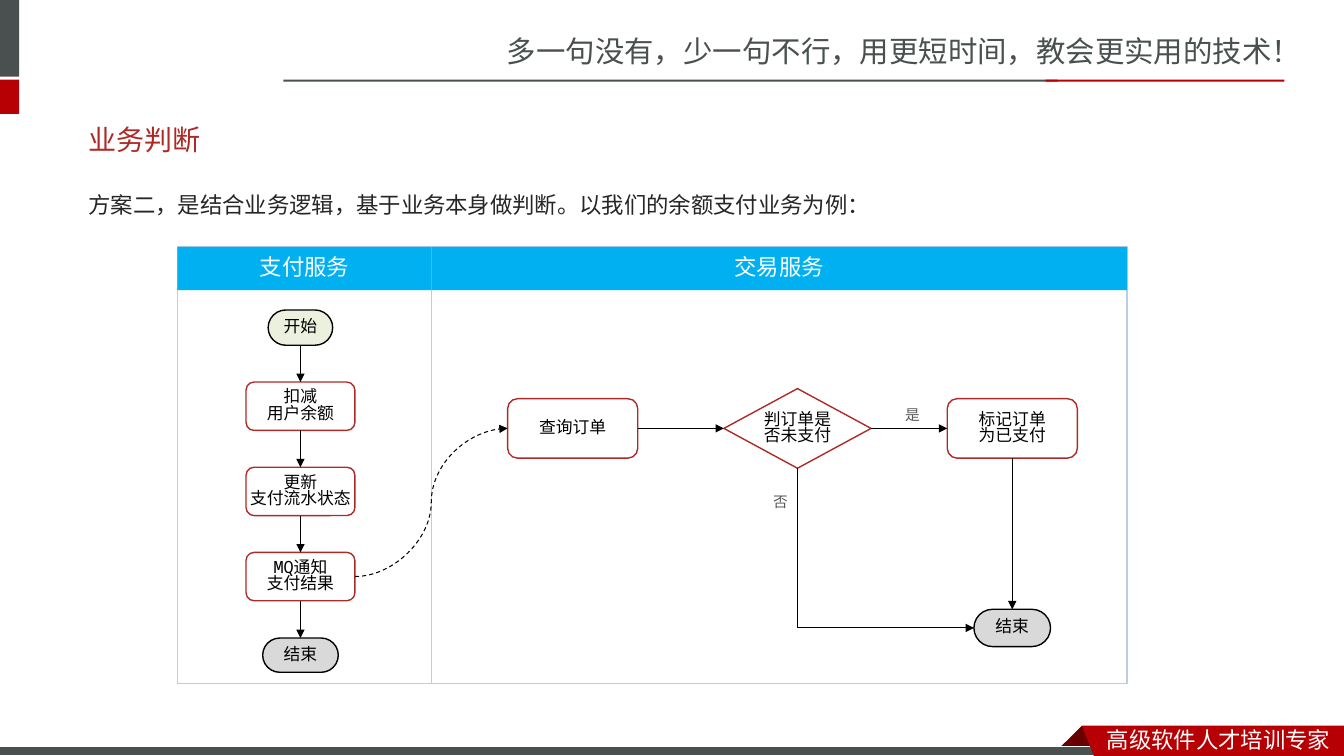
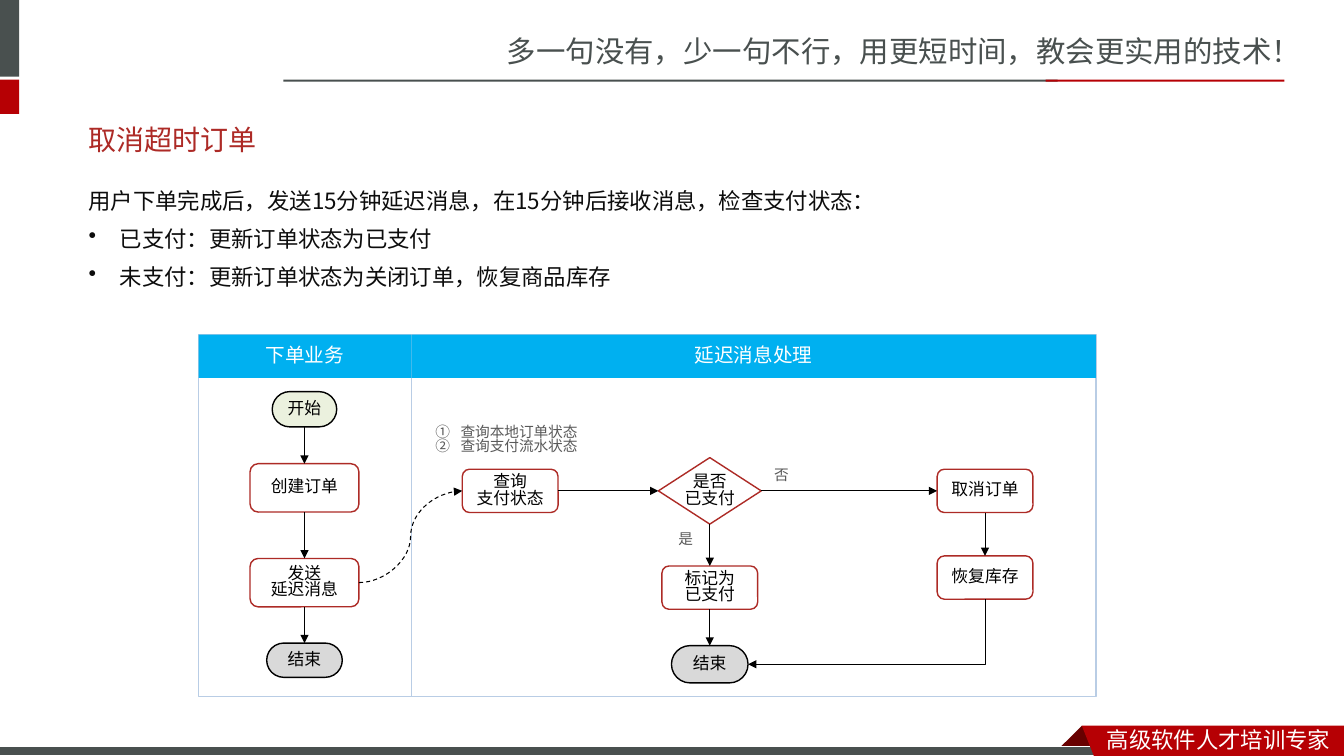
from lxml import etree
from pptx import Presentation
from pptx.dml.color import RGBColor
from pptx.enum.dml import MSO_LINE
from pptx.enum.shapes import MSO_CONNECTOR, MSO_SHAPE
from pptx.enum.text import MSO_ANCHOR, MSO_AUTO_SIZE, PP_ALIGN
from pptx.oxml.ns import qn
from pptx.util import Inches, Pt

RECTANGLE = MSO_SHAPE.RECTANGLE
ROUNDED = MSO_SHAPE.ROUNDED_RECTANGLE
DIAMOND = MSO_SHAPE.DIAMOND
STRAIGHT, ELBOW, CURVE = MSO_CONNECTOR.STRAIGHT, MSO_CONNECTOR.ELBOW, MSO_CONNECTOR.CURVE
DASH = MSO_LINE.DASH
MIDDLE = MSO_ANCHOR.MIDDLE
LEFT, CENTER = PP_ALIGN.LEFT, PP_ALIGN.CENTER
TOP_SITE, LEFT_SITE, BOTTOM_SITE, RIGHT_SITE = range(4)

SLIDE_WIDTH, SLIDE_HEIGHT = 13.33, 7.5
MARGIN, CONTENT_WIDTH = 0.78, 11.7
HEADER_HEIGHT = 0.43
TIGHT = 0.83

WHITE = RGBColor(0xFF, 0xFF, 0xFF)
BLACK = RGBColor(0x00, 0x00, 0x00)
SLATE = RGBColor(0x49, 0x50, 0x4F)
RED = RGBColor(0xB6, 0x00, 0x04)
DARK_RED = RGBColor(0x68, 0x00, 0x00)
TITLE_RED = RGBColor(0xAD, 0x2A, 0x26)
STEP_RED = RGBColor(0xAD, 0x2B, 0x26)
LANE_BLUE = RGBColor(0xB9, 0xCD, 0xE5)
HEADER_BLUE = RGBColor(0x00, 0xB0, 0xF0)
START_GREEN = RGBColor(0xEB, 0xF1, 0xDE)
END_GRAY = RGBColor(0xD9, 0xD9, 0xD9)
LABEL_GRAY = RGBColor(0x59, 0x59, 0x59)
INTRO_DARK = RGBColor(0x26, 0x26, 0x26)
INTRO_BLACK = RGBColor(0x0D, 0x0D, 0x0D)

TITLE_FONT = "Lato"
BODY_FONT = "Noto Sans CJK JP"
FLOW_FONT = "Noto Sans Mono"
CHINESE_FONT = "Noto Sans CJK SC"


def write(text_frame, text, size, color, font=FLOW_FONT, align=LEFT, spacing=None):
    """Fill the frame, one paragraph for each line of text."""
    text_frame.text = text
    for paragraph in text_frame.paragraphs:
        paragraph.alignment = align
        if spacing:
            paragraph.line_spacing = spacing
        for run in paragraph.runs:
            run.font.name = font
            run.font.size = Pt(size)
            run.font.color.rgb = color
            properties = run._r.get_or_add_rPr()
            latin = properties.find(qn("a:latin"))
            east_asian = etree.Element(qn("a:ea"), typeface=CHINESE_FONT)
            latin.addnext(east_asian)


def add_bullet(paragraph, indent, tag, **attributes):
    properties = paragraph._p.get_or_add_pPr()
    properties.set("marL", str(Inches(indent)))
    properties.set("indent", str(-Inches(indent)))
    etree.SubElement(properties, qn(tag), attributes)


def paint(shape, fill=None, line=None, line_width=1):
    shape.shadow.inherit = False
    if fill is None:
        shape.fill.background()
    else:
        shape.fill.solid()
        shape.fill.fore_color.rgb = fill
    if line is None:
        shape.line.fill.background()
    else:
        shape.line.color.rgb = line
        shape.line.width = Pt(line_width)
    return shape


def add_block(slide, left, top, width, height, preset=RECTANGLE, **look):
    shape = slide.shapes.add_shape(
        preset, Inches(left), Inches(top), Inches(width), Inches(height))
    return paint(shape, **look)


def add_polygon(slide, points, fill):
    start, *others = [(Inches(x), Inches(y)) for x, y in points]
    builder = slide.shapes.build_freeform(*start)
    builder.add_line_segments(others, close=True)
    return paint(builder.convert_to_shape(), fill)


def add_text(slide, left, top, width, height, text, size, color, wrap=True, **style):
    box = slide.shapes.add_textbox(
        Inches(left), Inches(top), Inches(width), Inches(height))
    box.text_frame.word_wrap = wrap
    write(box.text_frame, text, size, color, **style)
    return box


def add_centered_text(shape, text, size, color):
    frame = shape.text_frame
    frame.margin_left = frame.margin_right = frame.margin_top = frame.margin_bottom = 0
    frame.vertical_anchor = MIDDLE
    frame.word_wrap = True
    write(frame, text, size, color, align=CENTER, spacing=TIGHT)


def add_node(slide, center, size, text, preset=ROUNDED, fill=WHITE, line=STEP_RED):
    """Place a flowchart node by its centre point."""
    (x, y), (width, height) = center, size
    node = add_block(slide, x - width / 2, y - height / 2, width, height,
                     preset, fill=fill, line=line)
    add_centered_text(node, text, 12, BLACK)
    return node


def add_terminal(slide, center, size, text, fill):
    node = add_node(slide, center, size, text, fill=fill, line=BLACK)
    node.adjustments[0] = 0.5
    return node


def add_lane(slide, left, top, width, height, heading, size):
    add_block(slide, left, top, width, height, line=LANE_BLUE)
    header = add_block(slide, left, top, width, HEADER_HEIGHT, fill=HEADER_BLUE)
    add_centered_text(header, heading, size, WHITE)


def add_label(slide, left, top, text):
    add_text(slide, left, top, 0.35, 0.28, text, 10.5, LABEL_GRAY, wrap=False)


def connect(slide, source, source_site, target, target_site, kind=STRAIGHT):
    connector = slide.shapes.add_connector(kind, 0, 0, 0, 0)
    connector.begin_connect(source, source_site)
    connector.end_connect(target, target_site)
    connector.line.color.rgb = BLACK
    connector.line.width = Pt(0.75)
    if kind == CURVE:
        connector.line.dash_style = DASH
    properties = connector.element.spPr
    etree.SubElement(properties.find(qn("a:ln")), qn("a:tailEnd"), type="triangle")
    etree.SubElement(properties, qn("a:effectLst"))
    return connector


def connect_down(slide, nodes):
    for upper, lower in zip(nodes, nodes[1:]):
        connect(slide, upper, BOTTOM_SITE, lower, TOP_SITE)


def connect_across(slide, nodes):
    for first, second in zip(nodes, nodes[1:]):
        connect(slide, first, RIGHT_SITE, second, LEFT_SITE)


def connect_corner(slide, source, target, target_site):
    """Run down from source, then sideways into target, with a single bend."""
    connector = connect(slide, source, BOTTOM_SITE, target, target_site, ELBOW)
    start_x, start_y = connector.begin_x, connector.begin_y
    end_x, end_y = connector.end_x, connector.end_y
    width, height = abs(end_y - start_y), abs(end_x - start_x)
    connector.left = (start_x + end_x - width) // 2
    connector.top = (start_y + end_y - height) // 2
    connector.width, connector.height = width, height
    rightward = end_x > start_x
    properties = connector.element.spPr
    properties.find(qn("a:prstGeom")).set("prst", "bentConnector2")
    transform = properties.find(qn("a:xfrm"))
    transform.set("rot", str((270 if rightward else 90) * 60000))
    transform.set("flipH", "1" if rightward else "0")
    transform.set("flipV", "0")


def add_frame(layout, slide):
    """Draw the shared bands and slogans, then move them into the layout."""
    for placeholder in list(layout.placeholders):
        if placeholder.placeholder_format.idx:
            layout.shapes.element.remove(placeholder.element)
    ribbon_left, ribbon_top = 10.73, 7.2
    parts = [
        add_text(slide, 4.93, 0.28, SLIDE_WIDTH - 4.93, 0.47,
                 "多一句没有，少一句不行，用更短时间，教会更实用的技术！",
                 21, SLATE, font=CHINESE_FONT),
        add_block(slide, 0, 0, 0.19, 0.76, fill=SLATE),
        add_block(slide, 0, 0.79, 0.19, 0.34, fill=RED),
        add_block(slide, 2.81, 0.79, 7.68, 0.02, fill=SLATE),
        add_block(slide, 10.37, 0.79, 2.37, 0.02, fill=RED),
        add_polygon(slide, [(ribbon_left, ribbon_top), (10.95, 7.42), (10.94, 7.43),
                            (10.52, 7.43), (10.51, 7.42)], DARK_RED),
        add_block(slide, 0, 7.41, 11, SLIDE_HEIGHT - 7.41,
                  fill=SLATE, line=WHITE, line_width=0.75),
        add_polygon(slide, [(ribbon_left, ribbon_top), (SLIDE_WIDTH, ribbon_top),
                            (SLIDE_WIDTH, SLIDE_HEIGHT), (10.85, SLIDE_HEIGHT)], RED),
        add_text(slide, 10.88, 7.15, SLIDE_WIDTH - 10.88, 0.37,
                 "高级软件人才培训专家", 16, WHITE, font=CHINESE_FONT),
    ]
    for part in parts:
        layout.shapes.element.append(part.element)


def set_title(slide, text):
    title = slide.shapes.title
    title.left, title.top = Inches(MARGIN), Inches(1.16)
    title.width, title.height = Inches(CONTENT_WIDTH), Inches(0.44)
    title.text_frame.auto_size = MSO_AUTO_SIZE.NONE
    title.text_frame.vertical_anchor = MIDDLE
    write(title.text_frame, text, 20, TITLE_RED, font=TITLE_FONT)


def add_intro(slide, top, text, color):
    """Add the lead sentence; any further lines become bullets."""
    box = add_text(slide, MARGIN, top, CONTENT_WIDTH, 0.52, text, 16, color,
                   font=BODY_FONT, spacing=1.25)
    for paragraph in box.text_frame.paragraphs[1:]:
        add_bullet(paragraph, 0.31, "a:buChar", char="•")
        paragraph.space_before = Pt(3.2)


def add_service_column(slide, x, start_y, steps, end_y):
    """Stack start, steps and end on one axis; return the last step."""
    start = add_terminal(slide, (x, start_y), (0.64, 0.35), "开始", START_GREEN)
    boxes = [add_node(slide, (x, y), (1.08, 0.48), text) for y, text in steps]
    end = add_terminal(slide, (x, end_y), (0.75, 0.34), "结束", END_GRAY)
    connect_down(slide, [start, *boxes, end])
    return boxes[-1]


def build_business_check(slide):
    set_title(slide, "业务判断")
    add_intro(slide, 1.78, "方案二，是结合业务逻辑，基于业务本身做判断。"
              "以我们的余额支付业务为例：", INTRO_DARK)
    lane_top, lane_height = 2.45, 4.33
    add_lane(slide, 1.76, lane_top, 2.52, lane_height, "支付服务", 16)
    add_lane(slide, 4.28, lane_top, 6.9, lane_height, "交易服务", 16)

    texts = ["扣减\n用户余额", "更新\n支付流水状态", "MQ通知\n支付结果"]
    steps = [(4.03 + 0.845 * row, text) for row, text in enumerate(texts)]
    notify = add_service_column(slide, 2.98, 3.25, steps, 6.5)

    flow_y, step_size = 4.25, (1.29, 0.59)
    query = add_node(slide, (5.68, flow_y), step_size, "查询订单")
    decision = add_node(slide, (7.91, flow_y), (1.46, 0.79), "判订单是否未支付", DIAMOND)
    mark = add_node(slide, (10.04, flow_y), step_size, "标记订单\n为已支付")
    end = add_terminal(slide, (10.04, 6.23), (0.76, 0.37), "结束", END_GRAY)
    connect_across(slide, [query, decision, mark])
    connect_down(slide, [mark, end])
    connect_corner(slide, decision, end, LEFT_SITE)
    connect(slide, notify, RIGHT_SITE, query, LEFT_SITE, CURVE)
    add_label(slide, 8.88, 3.98, "是")
    add_label(slide, 7.57, 4.84, "否")


def build_order_timeout(slide):
    set_title(slide, "取消超时订单")
    add_intro(slide, 1.74, "用户下单完成后，发送15分钟延迟消息，在15分钟后接收消息，检查支付状态：\n"
              "已支付：更新订单状态为已支付\n"
              "未支付：更新订单状态为关闭订单，恢复商品库存", INTRO_BLACK)
    lane_top, lane_height = 3.32, 3.59
    add_lane(slide, 1.97, lane_top, 2.11, lane_height, "下单业务", 14)
    add_lane(slide, 4.08, lane_top, 6.79, lane_height, "延迟消息处理", 14)

    steps = [(4.84, "创建订单"), (5.78, "发送\n延迟消息")]
    send = add_service_column(slide, 3.02, 4.06, steps, 6.55)

    flow_y, second_y, step_size = 4.87, 5.83, (0.95, 0.43)
    decision_x, cancel_x = 7.04, 9.77
    query = add_node(slide, (5.06, flow_y), step_size, "查询\n支付状态")
    decision = add_node(slide, (decision_x, flow_y), (1.02, 0.66), "是否\n已支付", DIAMOND)
    cancel = add_node(slide, (cancel_x, flow_y), step_size, "取消订单")
    mark = add_node(slide, (decision_x, second_y), step_size, "标记为\n已支付")
    restore = add_node(slide, (cancel_x, 5.73), step_size, "恢复库存")
    end = add_terminal(slide, (decision_x, 6.59), (0.76, 0.37), "结束", END_GRAY)
    connect_across(slide, [query, decision, cancel])
    connect_down(slide, [decision, mark, end])
    connect_down(slide, [cancel, restore])
    connect_corner(slide, restore, end, RIGHT_SITE)
    connect(slide, send, RIGHT_SITE, query, LEFT_SITE, CURVE)
    add_label(slide, 6.63, 5.21, "是")
    add_label(slide, 7.58, 4.57, "否")

    checks = add_text(slide, 4.22, 4.17, 1.62, 0.45, "查询本地订单状态\n查询支付流水状态",
                      10.5, LABEL_GRAY, spacing=TIGHT)
    for paragraph in checks.text_frame.paragraphs:
        add_bullet(paragraph, 0.25, "a:buAutoNum", type="circleNumDbPlain")


def main():
    presentation = Presentation()
    presentation.slide_width = Inches(SLIDE_WIDTH)
    presentation.slide_height = Inches(SLIDE_HEIGHT)
    layout = presentation.slide_layouts.get_by_name("Title Only")
    builders = [build_business_check, build_order_timeout]
    slides = [presentation.slides.add_slide(layout) for _ in builders]
    add_frame(layout, slides[0])
    for build, slide in zip(builders, slides):
        build(slide)
    presentation.save("out.pptx")


if __name__ == "__main__":
    main()
